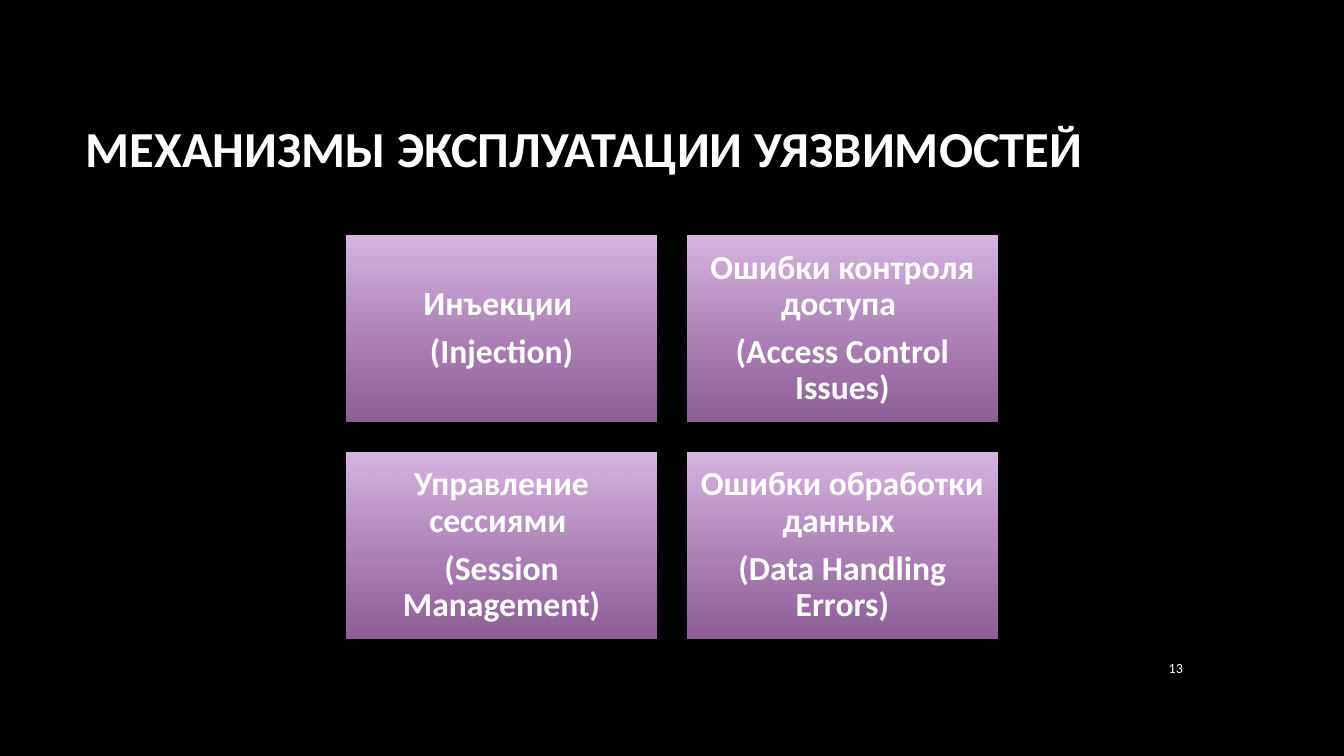
from lxml.etree import SubElement
from pptx import Presentation
from pptx.dml.color import RGBColor
from pptx.enum.shapes import MSO_SHAPE
from pptx.enum.text import MSO_ANCHOR, PP_ALIGN
from pptx.oxml.ns import qn
from pptx.util import Inches, Pt


def color(hex_value):
    return RGBColor.from_string(hex_value)


def format_paragraph(paragraph, size, alignment, bold):
    paragraph.alignment = alignment
    paragraph.font.name = "Calibri"
    paragraph.font.size = Pt(size)
    paragraph.font.bold = bold
    paragraph.font.color.rgb = color("FFFFFF")


presentation = Presentation()
presentation.slide_width = Inches(13.33)
presentation.slide_height = Inches(7.5)
slide = presentation.slides.add_slide(presentation.slide_layouts[5])
slide.background.fill.solid()
slide.background.fill.fore_color.rgb = color("000000")

# Title
title = slide.shapes.title
title.left, title.top = Inches(0.75), Inches(0.67)
title.width, title.height = Inches(11.08), Inches(1.59)
title.text_frame.text = "МЕХАНИЗМЫ ЭКСПЛУАТАЦИИ УЯЗВИМОСТЕЙ"
title.text_frame.vertical_anchor = MSO_ANCHOR.MIDDLE
format_paragraph(title.text_frame.paragraphs[0], 36, PP_ALIGN.LEFT, True)

# Two-by-two grid of mechanisms
mechanisms = [
    ("Инъекции ", "(Injection)"),
    ("Ошибки контроля доступа ", "(Access Control Issues)"),
    ("Управление сессиями ", "(Session Management)"),
    ("Ошибки обработки данных ", "(Data Handling Errors)"),
]
card_width, card_height = 3.07, 1.84
column_step, row_step = 3.38, 2.15
for index, lines in enumerate(mechanisms):
    row, column = divmod(index, 2)
    card = slide.shapes.add_shape(
        MSO_SHAPE.RECTANGLE,
        Inches(3.44 + column * column_step), Inches(2.34 + row * row_step),
        Inches(card_width), Inches(card_height))
    card.shadow.inherit = False
    card.line.fill.background()

    # Vertical gradient that fades towards the bottom
    card.fill.gradient()
    card.fill.gradient_angle = 270
    top_stop, bottom_stop = card.fill.gradient_stops
    top_stop.position, bottom_stop.position = 0, 1
    top_stop.color.rgb = color("D8B7E1")
    bottom_stop.color.rgb = color("BF82CE")
    bottom_color = card.element.spPr.findall(".//" + qn("a:srgbClr"))[-1]
    SubElement(bottom_color, qn("a:alpha"), val="74000")

    text_frame = card.text_frame
    text_frame.word_wrap = True
    text_frame.vertical_anchor = MSO_ANCHOR.MIDDLE
    text_frame.margin_left = text_frame.margin_right = Inches(0.1)
    text_frame.margin_top = text_frame.margin_bottom = Inches(0.1)
    text_frame.text = "\n".join(lines)
    for paragraph in text_frame.paragraphs:
        format_paragraph(paragraph, 24, PP_ALIGN.CENTER, True)
        paragraph.line_spacing = 0.9
        paragraph.space_after = Pt(8.4)

# Slide number
number_box = slide.shapes.add_textbox(
    Inches(11.23), Inches(6.42), Inches(0.6), Inches(0.41))
number_box.text_frame.word_wrap = True
number_box.text_frame.vertical_anchor = MSO_ANCHOR.MIDDLE
number_box.text_frame.text = "13"
format_paragraph(number_box.text_frame.paragraphs[0], 10, PP_ALIGN.RIGHT, False)

presentation.save("out.pptx")
